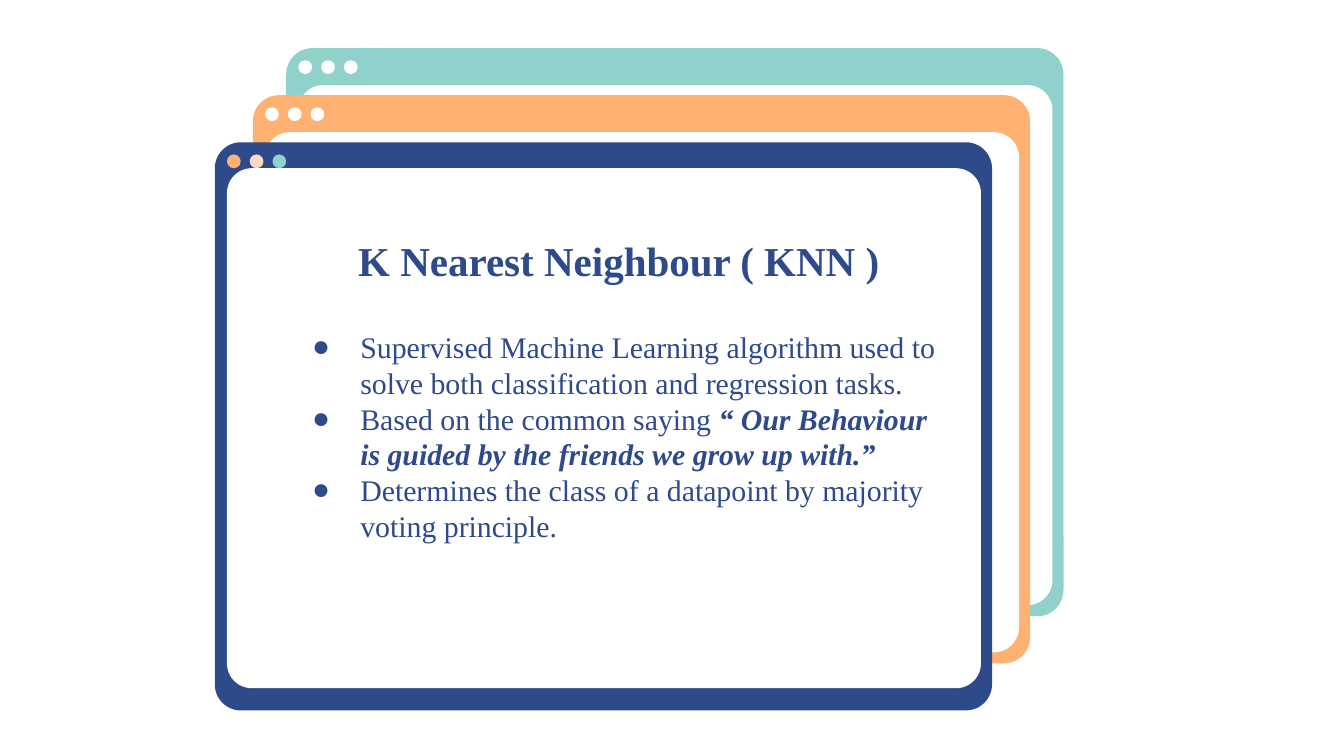
from lxml.etree import SubElement
from pptx import Presentation
from pptx.dml.color import RGBColor
from pptx.enum.shapes import MSO_SHAPE
from pptx.enum.text import MSO_ANCHOR, MSO_AUTO_SIZE, PP_ALIGN
from pptx.oxml.ns import qn
from pptx.util import Cm, Pt

NAVY = RGBColor(0x2F, 0x4A, 0x8A)
ORANGE = RGBColor(0xFF, 0xB1, 0x72)
TEAL = RGBColor(0x90, 0xD1, 0xCB)
PEACH = RGBColor(0xF8, 0xDB, 0xC4)
WHITE = RGBColor(0xFF, 0xFF, 0xFF)
FONT = "Times New Roman"

# left, top, frame colour, height of the title bar, dot colours (cm)
WINDOWS = [
    (5.41, 0.91, TEAL, 0.7, [WHITE] * 3),
    (4.78, 1.8, ORANGE, 0.7, [WHITE] * 3),
    (4.06, 2.69, NAVY, 0.49, [ORANGE, PEACH, TEAL]),
]
BORDER = 0.23
DOT_SIZE, DOT_STEP, DOT_TOP = 0.26, 0.43, 0.23

TITLE = "K Nearest Neighbour ( KNN )"
BULLETS = [
    [("Supervised Machine Learning algorithm used to solve both "
      "classification and regression tasks.", {})],
    [("Based on the common saying ", {}),
     ("“ Our Behaviour is guided by the friends we grow up with.”",
      {"bold": True, "italic": True})],
    [("Determines the class of a datapoint by majority voting principle.", {})],
]


def set_attributes(obj, values):
    for name, value in values.items():
        setattr(obj, name, value)


def add_filled(shapes, kind, left, top, width, height, color, radius=None):
    sp = shapes.add_shape(kind, Cm(left), Cm(top), Cm(width), Cm(height))
    sp.shadow.inherit = False
    sp.fill.solid()
    sp.fill.fore_color.rgb = color
    sp.line.fill.background()
    if radius is not None:
        sp.adjustments[0] = radius


def add_window(slide, left, top, color, bar, dots):
    shapes = slide.shapes.add_group_shape().shapes
    add_filled(shapes, MSO_SHAPE.ROUNDED_RECTANGLE,
               left, top, 14.69, 10.74, color, 0.046)
    add_filled(shapes, MSO_SHAPE.ROUNDED_RECTANGLE,
               left + BORDER, top + bar, 14.25, 9.83, WHITE, 0.048)
    for i, dot in enumerate(dots):
        add_filled(shapes, MSO_SHAPE.OVAL, left + BORDER + i * DOT_STEP,
                   top + DOT_TOP, DOT_SIZE, DOT_SIZE, dot)


def place_text(sp, left, top, width, height):
    set_attributes(sp, {"left": Cm(left), "top": Cm(top),
                        "width": Cm(width), "height": Cm(height)})
    tf = sp.text_frame
    set_attributes(tf, {
        "margin_left": 0, "margin_top": 0, "margin_right": 0,
        "margin_bottom": 0, "word_wrap": True,
        "auto_size": MSO_AUTO_SIZE.NONE, "vertical_anchor": MSO_ANCHOR.TOP,
    })
    return tf


def add_run(p, text, size, **styles):
    r = p.add_run()
    r.text = text
    set_attributes(r.font, {"name": FONT, "size": Pt(size), **styles})
    r.font.color.rgb = NAVY


def add_bullet(p):
    pPr = p._p.get_or_add_pPr()
    pPr.set("marL", str(Cm(1.27)))
    pPr.set("indent", str(Cm(-0.91)))
    color = SubElement(pPr, qn("a:buClr"))
    SubElement(color, qn("a:srgbClr"), val=str(NAVY))
    SubElement(pPr, qn("a:buFont"), typeface=FONT)
    SubElement(pPr, qn("a:buChar"), char="●")


def fill_title(sp):
    p = place_text(sp, 6.77, 4.45, 11.3, 1.1).paragraphs[0]
    p.alignment = PP_ALIGN.LEFT
    add_run(p, TITLE, 22, bold=True)


def fill_bullets(sp):
    tf = place_text(sp, 5.54, 6.21, 12.34, 5)
    for i, runs in enumerate(BULLETS):
        p = tf.add_paragraph() if i else tf.paragraphs[0]
        add_bullet(p)
        set_attributes(p, {"alignment": PP_ALIGN.LEFT, "space_before": Pt(0),
                           "line_spacing": Pt(19.2)})
        for text, styles in runs:
            add_run(p, text, 16, **styles)


def main():
    prs = Presentation()
    prs.slide_width, prs.slide_height = Cm(25.4), Cm(14.29)
    slide = prs.slides.add_slide(prs.slide_layouts[1])
    title, body = slide.placeholders
    for window in WINDOWS:
        add_window(slide, *window)
    # Bring the text in front of the windows
    for sp in (title, body):
        slide.shapes._spTree.append(sp._element)
    fill_title(title)
    fill_bullets(body)
    prs.save("out.pptx")


if __name__ == "__main__":
    main()
